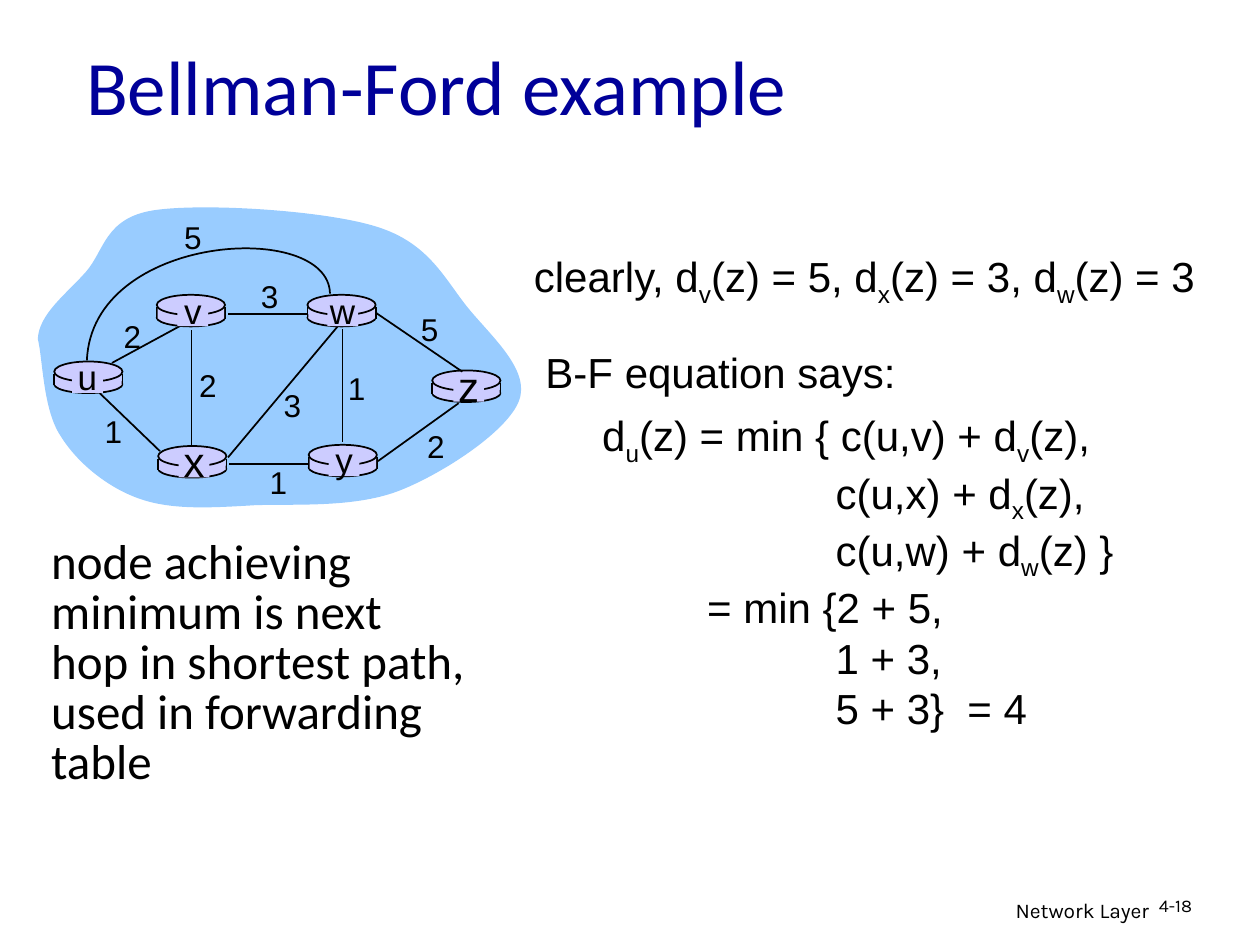
from lxml import etree
from pptx import Presentation
from pptx.dml.color import RGBColor
from pptx.enum.shapes import MSO_CONNECTOR, MSO_SHAPE
from pptx.enum.text import MSO_ANCHOR, PP_ALIGN
from pptx.oxml.ns import qn
from pptx.util import Pt

LEFT, CENTER, RIGHT = PP_ALIGN.LEFT, PP_ALIGN.CENTER, PP_ALIGN.RIGHT
OVAL, RECTANGLE = MSO_SHAPE.OVAL, MSO_SHAPE.RECTANGLE
STRAIGHT = MSO_CONNECTOR.STRAIGHT
MIDDLE = MSO_ANCHOR.MIDDLE
BLACK = RGBColor(0x00, 0x00, 0x00)
NAVY = RGBColor(0x00, 0x00, 0x99)
SKY = RGBColor(0x99, 0xCC, 0xFF)
LILAC = RGBColor(0xCC, 0xCC, 0xFF)

TITLE = "Bellman-Ford example"

# An underscore makes the next character a subscript.
KNOWN_COSTS = "clearly, d_v(z) = 5, d_x(z) = 3, d_w(z) = 3"
EQUATION_LEAD = "B-F equation says:"
TERM_INDENT, RESULT_INDENT = 133.4, 60
EQUATION = [
    ("d_u(z) = min { c(u,v) + d_v(z),", 0),
    ("c(u,x) + d_x(z),", TERM_INDENT),
    ("c(u,w) + d_w(z) }", TERM_INDENT),
    ("= min {2 + 5,", RESULT_INDENT),
    ("1 + 3,", TERM_INDENT),
    ("5 + 3}  = 4", TERM_INDENT),
]
CONCLUSION = [
    ("node achieving minimum is next", 0),
    ("hop in shortest path, used in forwarding table", 0),
]

# name: left, top, label centre, label size
ROUTERS = {
    "u": (31, 206.6, 50, 20),
    "x": (90.4, 254.9, 110.9, 24),
    "v": (89.6, 168.5, 110.2, 20),
    "w": (175.7, 168.5, 195.8, 20),
    "y": (176.4, 254.2, 196.6, 20),
    "z": (247, 211.7, 267.8, 24),
}
ROUTER_WIDTH = 39

# start, end
LINK_UNDER_ROUTERS = ((64, 207.4), (106.6, 184.3))
LINKS = [
    ((195.8, 187.9), (195.8, 252.7)),
    ((109.4, 188.6), (109.4, 255.6)),
    ((130.3, 261.4), (193, 186.5)),
    ((216, 263.5), (262.1, 230.4)),
    ((176.4, 265.3), (131, 265.3)),
    ((91.4, 257.8), (56.9, 224.6)),
    ((175.7, 179.3), (130.3, 179.3)),
    ((264.2, 212.4), (214.6, 178.6)),
]
# link cost and the centre of its label
COSTS = [
    ("2", 75.6, 192.2), ("2", 118.8, 219.8), ("1", 64.8, 246.2),
    ("3", 167, 231.3), ("1", 159.1, 275.6), ("1", 203.8, 222),
    ("2", 249.1, 254.9), ("5", 245.5, 187.9), ("3", 154.1, 169.2),
    ("5", 110.2, 135.6),
]

# Bezier outlines: a start point, then two handles and an end point per curve
CLOUD = [
    (21.6, 193.7),
    (22.3, 179.3), (38.2, 167.8), (49, 155.5),
    (59.8, 143.3), (59.8, 124.6), (87.8, 120.2),
    (115.9, 115.9), (185.8, 120.2), (215.3, 129.6),
    (245.5, 139), (254.2, 159.8), (267.8, 176.4),
    (281.5, 193), (303.1, 211.7), (296.6, 229),
    (290.2, 246.2), (254.2, 270), (229, 280.1),
    (203.8, 290.2), (170.6, 288), (146.2, 288.7),
    (121, 290.2), (98.6, 291.6), (79.9, 285.1),
    (61.2, 278.6), (43.9, 264.2), (34.6, 249.1),
    (24.5, 234), (24.5, 205.2), (21.6, 193.7),
]
ARC_U_TO_W = [(188.6, 167.8), (187.9, 125.3), (52.6, 133.2), (49.7, 205.9)]


def style_font(font, name, size, color=BLACK):
    font.name, font.size, font.color.rgb = name, Pt(size), color


def add_text(shapes, at, lines, size, name="Arial", align=LEFT, wrap=False,
             spacing=None):
    """Write (text, indent) lines in a box at left, top, width, height."""
    box = shapes.add_textbox(*map(Pt, at))
    frame = box.text_frame
    frame.word_wrap = wrap
    for index, (text, indent) in enumerate(lines):
        para = frame.add_paragraph() if index else frame.paragraphs[0]
        para.alignment = align
        para.line_spacing = spacing
        if indent:
            para._p.get_or_add_pPr().set("marL", str(Pt(indent)))
        first, *rest = text.split("_")
        spans = [(first, False)]
        for part in rest:
            spans += [(part[0], True), (part[1:], False)]
        for words, is_subscript in spans:
            span = para.add_run()
            span.text = words
            style_font(span.font, name, size)
            if is_subscript:
                span._r.get_or_add_rPr().set("baseline", "-25000")


def add_centred_label(shapes, text, x, y, size):
    width, height = 29, size * 1.2 + 7.2
    add_text(shapes, (x - width / 2, y - height / 2, width, height),
             [(text, 0)], size, align=CENTER)


def paint(shape, fill, outlined):
    shape.shadow.inherit = False
    if fill is None:
        shape.fill.background()
    else:
        shape.fill.solid()
        shape.fill.fore_color.rgb = fill
    if outlined:
        shape.line.color.rgb = BLACK
        shape.line.width = Pt(1)
    else:
        shape.line.fill.background()


def add_line(shapes, start, end):
    line = shapes.add_connector(STRAIGHT, *map(Pt, start + end))
    line.line.color.rgb = BLACK
    line.line.width = Pt(1)
    etree.SubElement(line._element.spPr, qn("a:effectLst"))


def add_curve(shapes, knots, fill, outlined, closed):
    """Build a polygon on the knots, then turn each three lines into a curve."""
    points = [(Pt(x), Pt(y)) for x, y in knots]
    builder = shapes.build_freeform(*points[0])
    builder.add_line_segments(points[1:], close=closed)
    shape = builder.convert_to_shape()
    lines = list(shape._element.iter(qn("a:lnTo")))
    for i in range(0, len(knots) - 1, 3):
        curve = etree.Element(qn("a:cubicBezTo"))
        lines[i].addprevious(curve)
        for line in lines[i:i + 3]:
            curve.append(line[0])
            line.getparent().remove(line)
    paint(shape, fill, outlined)


def add_router(shapes, left, top):
    def part(kind, offset, height, outlined, inset=0):
        shape = shapes.add_shape(kind, Pt(left + inset), Pt(top + offset),
                                 Pt(ROUTER_WIDTH - 2 * inset), Pt(height))
        paint(shape, LILAC, outlined)

    part(OVAL, 8, 10, True)
    for x in (left, left + ROUTER_WIDTH):
        add_line(shapes, (x, top + 7.2), (x, top + 13.6))
    part(RECTANGLE, 7.2, 6.4, False, inset=0.5)
    part(OVAL, 0, 11.5, True)


def add_router_label(shapes, name, top, x, size):
    patch = shapes.add_shape(RECTANGLE, Pt(x - 8.8), Pt(top + 1.4),
                             Pt(17.6), Pt(16.5))
    paint(patch, LILAC, False)
    add_centred_label(shapes, name, x, top + 8.7, size)


def add_network(page):
    shapes = page.shapes.add_group_shape().shapes
    add_curve(shapes, CLOUD, SKY, outlined=False, closed=True)
    add_line(shapes, *LINK_UNDER_ROUTERS)
    for left, top, _, _ in ROUTERS.values():
        add_router(shapes, left, top)
    for start, end in LINKS:
        add_line(shapes, start, end)
    add_curve(shapes, ARC_U_TO_W, None, outlined=True, closed=False)
    for name, (_, top, x, size) in ROUTERS.items():
        add_router_label(shapes, name, top, x, size)
    for cost, x, y in COSTS:
        add_centred_label(shapes, cost, x, y, 18)


def main():
    deck = Presentation()
    deck.slide_width, deck.slide_height = Pt(720), Pt(540)
    page = deck.slides.add_slide(deck.slide_layouts[5])

    title = page.shapes.title
    title.left, title.top, title.width, title.height = map(
        Pt, (42, 13.7, 612, 69))
    title.text_frame.text = TITLE
    title.text_frame.vertical_anchor = MIDDLE
    heading = title.text_frame.paragraphs[0]
    heading.alignment = LEFT
    style_font(heading.runs[0].font, "Calibri", 44, NAVY)

    add_network(page)
    add_text(page.shapes, (298, 139.7, 394, 40), [(KNOWN_COSTS, 0)], 24)
    add_text(page.shapes, (304.6, 194.4, 214.6, 36), [(EQUATION_LEAD, 0)], 24)
    add_text(page.shapes, (337, 230.6, 312, 192), EQUATION, 24, wrap=True)
    add_text(page.shapes, (22.2, 304.6, 266.4, 150.5), CONCLUSION, 28,
             "Calibri", wrap=True, spacing=0.85)
    add_text(page.shapes, (435.6, 509.2, 228.2, 22.3), [("Network Layer", 0)],
             12, "Karla", RIGHT, wrap=True)
    add_text(page.shapes, (655.2, 509, 53.3, 21.6), [("4-18", 0)],
             10.2, "Karla", wrap=True, spacing=0.9)
    deck.save("out.pptx")


if __name__ == "__main__":
    main()
